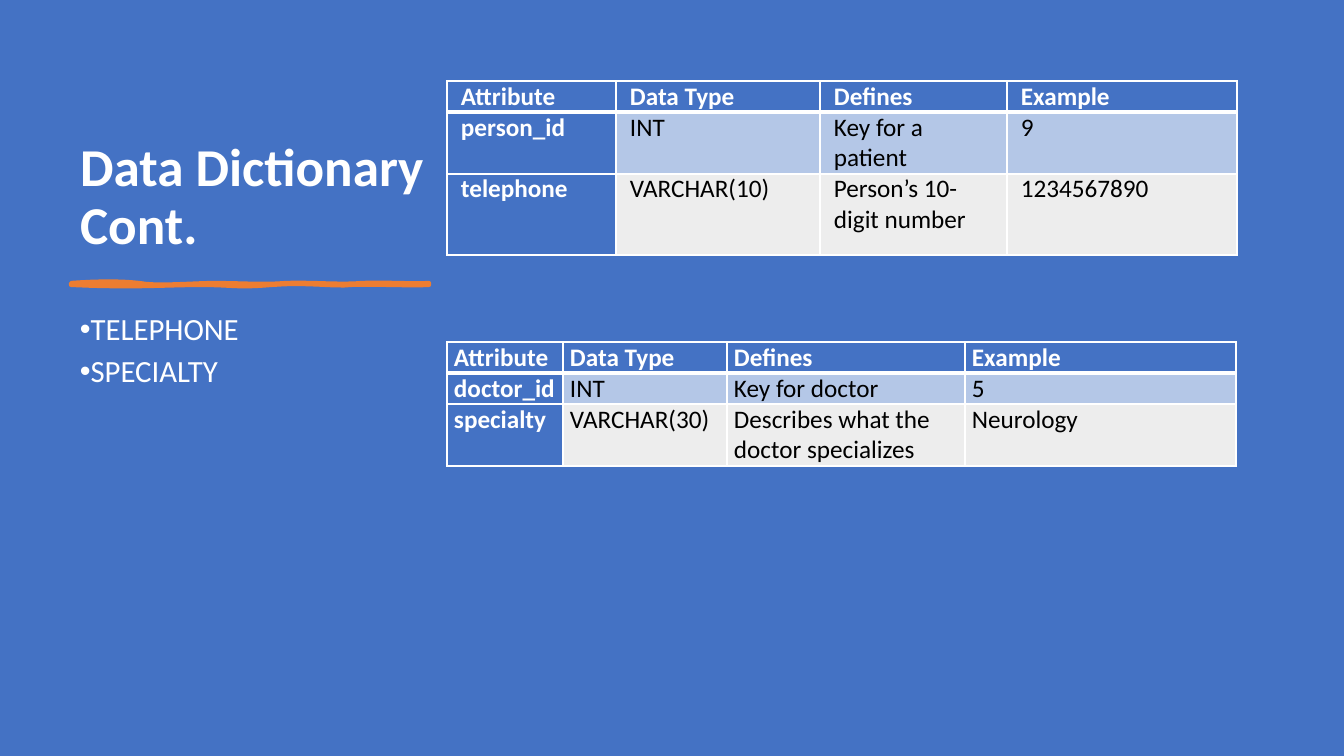
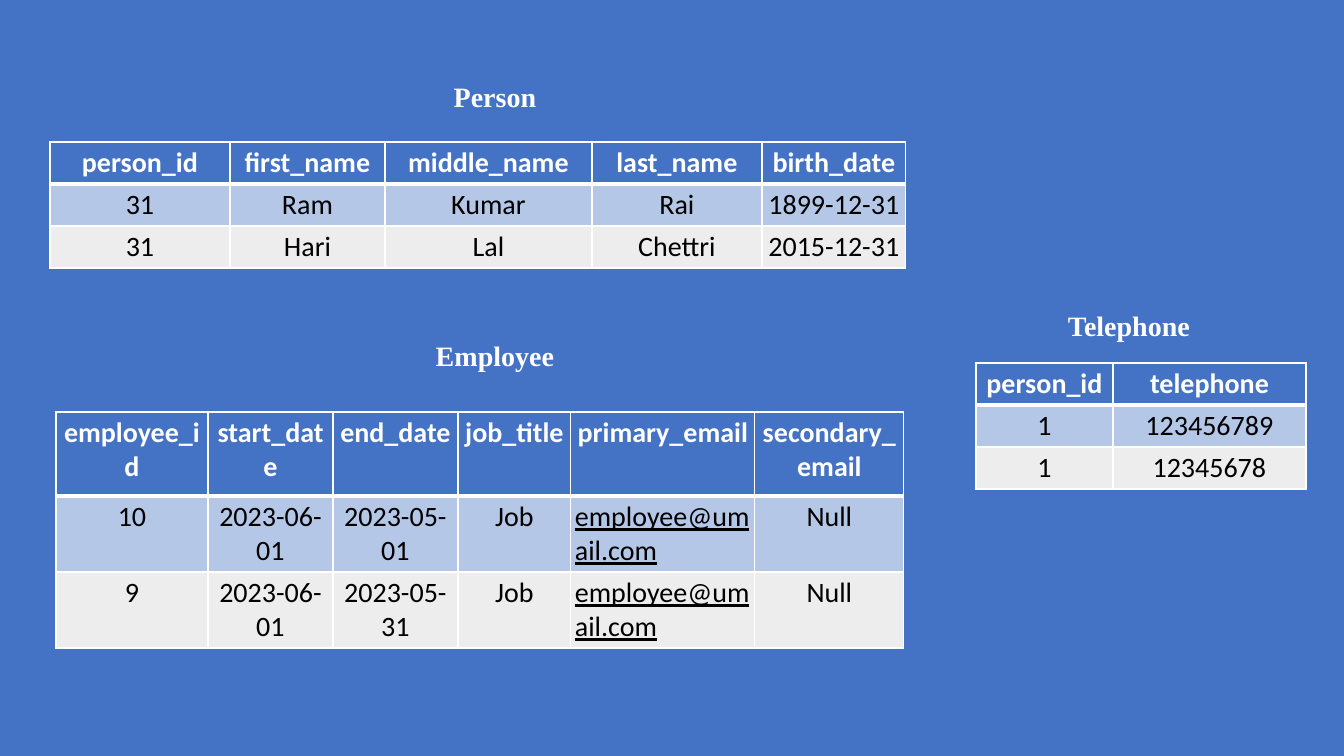
"""Build two data dictionary slides with tables on a blue background."""
from itertools import accumulate

from lxml.etree import SubElement
from pptx import Presentation
from pptx.dml.color import RGBColor
from pptx.enum.text import MSO_ANCHOR, PP_ALIGN
from pptx.oxml.ns import qn
from pptx.util import Emu, Pt

EMU_PER_PX = 914400 / 100.8
BLUE = RGBColor(0x44, 0x72, 0xC4)
PALE_BLUE = RGBColor(0xB4, 0xC7, 0xE7)
PALE_GRAY = RGBColor(0xED, 0xED, 0xED)
ORANGE = RGBColor(0xED, 0x7D, 0x31)
WHITE = RGBColor(0xFF, 0xFF, 0xFF)
BLACK = RGBColor(0, 0, 0)
BODY_FONT = "Calibri"
CAPTION_FONT = "Times New Roman"

TITLE = "Data Dictionary Cont."
TITLE_BOX = (70, 71, 378, 190)
BULLETS = ["TELEPHONE", "SPECIALTY"]
BULLET_BOX = (70, 309, 378, 376)

UNDERLINE_START = (71, 283)
UNDERLINE_TOP = [
    ((98, 281), (122, 281), (139, 283)),
    ((156, 286), (178, 284), (211, 283)),
    ((243, 283), (262, 285), (286, 283)),
    ((310, 282), (342, 285), (362, 283)),
    ((382, 282), (415, 284), (429, 283)),
]
UNDERLINE_END = (429, 285)
UNDERLINE_BOTTOM = [
    ((411, 286), (367, 284), (351, 285)),
    ((335, 287), (306, 282), (272, 285)),
    ((237, 288), (233, 285), (201, 285)),
    ((167, 285), (133, 288), (71, 285)),
]

DICTIONARY_HEADER = ["Attribute", "Data Type", "Defines", "Example"]
DICTIONARY_TABLES = [
    {
        "origin": (447, 81), "columns": [169, 204, 187, 230], "heights": [31, 62, 81],
        "margins": (14, 0),
        "rows": [
            DICTIONARY_HEADER,
            ["person_id", "INT", "Key for a patient", "9"],
            ["telephone", "VARCHAR(10)", "Person’s 10-digit number", "1234567890"],
        ],
    },
    {
        "origin": (447, 342), "columns": [116, 164, 238, 271], "heights": [31, 31, 62],
        "margins": (7, 0),
        "rows": [
            DICTIONARY_HEADER,
            ["doctor_id", "INT", "Key for doctor", "5"],
            ["specialty", "VARCHAR(30)", "Describes what the doctor specializes", "Neurology"],
        ],
    },
]
SAMPLE_TABLES = [
    {
        "caption": "Person", "caption_at": (344, 75),
        "origin": (50, 142), "columns": [180, 155, 207, 170, 144], "heights": [42, 42, 42],
        "rows": [
            ["person_id", "first_name", "middle_name", "last_name", "birth_date"],
            ["31", "Ram", "Kumar", "Rai", "1899-12-31"],
            ["31", "Hari", "Lal", "Chettri", "2015-12-31"],
        ],
    },
    {
        "caption": "Employee", "caption_at": (344, 334),
        "origin": (56, 412), "columns": [152, 125, 125, 113, 184, 149], "heights": [84, 76, 76],
        "rows": [
            ["employee_id", "start_date", "end_date", "job_title", "primary_email",
             "secondary_email"],
            ["10", "2023-06-01", "2023-05-01", "Job", "employee@umail.com", "Null"],
            ["9", "2023-06-01", "2023-05-31", "Job", "employee@umail.com", "Null"],
        ],
    },
    {
        "caption": "Telephone", "caption_at": (978, 304),
        "origin": (976, 363), "columns": [137, 193], "heights": [42, 42, 42],
        "rows": [
            ["person_id", "telephone"],
            ["1", "123456789"],
            ["1", "12345678"],
        ],
    },
]
CAPTION_SIZE = (302, 44)


def px(length):
    return Emu(round(length * EMU_PER_PX))


def write_text(paragraph, text, size=18, color=WHITE, bold=False, underline=False,
               font=BODY_FONT, align=PP_ALIGN.LEFT, line_spacing=None, space_after=None):
    run = paragraph.add_run()
    run.text = text
    run.font.name = font
    run.font.size = Pt(size)
    run.font.color.rgb = color
    run.font.bold = bold
    run.font.underline = underline
    paragraph.alignment = align
    if line_spacing is not None:
        paragraph.line_spacing = line_spacing
    if space_after is not None:
        paragraph.space_after = Pt(space_after)


def add_bullet(paragraph):
    properties = paragraph._p.get_or_add_pPr()
    properties.set("marL", "0")
    properties.set("indent", str(-px(25)))
    SubElement(properties, qn("a:buFont"), typeface="Arial")
    SubElement(properties, qn("a:buChar"), char="•")


def add_text_box(slide, box):
    frame = slide.shapes.add_textbox(*map(px, box)).text_frame
    frame.word_wrap = True
    return frame


def set_borders(cell, top, bottom):
    properties = cell._tc.get_or_add_tcPr()
    for side, width in (("L", 1), ("R", 1), ("T", top), ("B", bottom)):
        line = SubElement(properties, qn(f"a:ln{side}"), w=str(Pt(width)))
        fill = SubElement(line, qn("a:solidFill"))
        SubElement(fill, qn("a:srgbClr"), val=str(WHITE))


def add_table(slide, content, size, align, margins, header_column=False):
    rows, columns, heights = content["rows"], content["columns"], content["heights"]
    box = (*content["origin"], sum(columns), sum(heights))
    table = slide.shapes.add_table(len(rows), len(columns), *map(px, box)).table
    for column, width in zip(table.columns, columns):
        column.width = px(width)
    for row, height in zip(table.rows, heights):
        row.height = px(height)
    for row_index, row in enumerate(rows):
        for column_index, text in enumerate(row):
            cell = table.cell(row_index, column_index)
            is_header = row_index == 0 or (header_column and column_index == 0)
            is_email = "@" in text
            cell.margin_left = cell.margin_right = px(margins[0])
            cell.margin_top = cell.margin_bottom = px(margins[1])
            set_borders(cell, 3 if row_index == 1 else 1, 3 if row_index == 0 else 1)
            cell.fill.solid()
            cell.fill.fore_color.rgb = (
                BLUE if is_header else PALE_BLUE if row_index % 2 else PALE_GRAY)
            write_text(cell.text_frame.paragraphs[0], text, size=size, bold=is_header,
                       color=WHITE if is_header else BLACK, underline=is_email,
                       align=PP_ALIGN.LEFT if is_email else align)


def curve_points(start, curves, steps=8):
    starts = accumulate(curves, lambda _, curve: curve[-1], initial=start)
    for first, (second, third, last) in zip(starts, curves):
        for step in range(1, steps + 1):
            t = step / steps
            weights = ((1 - t) ** 3, 3 * t * (1 - t) ** 2, 3 * t * t * (1 - t), t ** 3)
            corners = (first, second, third, last)
            yield tuple(sum(weight * corner[axis] for weight, corner in zip(weights, corners))
                        for axis in (0, 1))


def add_underline(slide):
    points = [
        *curve_points(UNDERLINE_START, UNDERLINE_TOP),
        UNDERLINE_END,
        *curve_points(UNDERLINE_END, UNDERLINE_BOTTOM),
    ]
    builder = slide.shapes.build_freeform(*map(px, UNDERLINE_START))
    builder.add_line_segments([(px(x), px(y)) for x, y in points], close=True)
    underline = builder.convert_to_shape()
    underline.shadow.inherit = False
    underline.fill.solid()
    underline.fill.fore_color.rgb = ORANGE
    underline.line.color.rgb = ORANGE
    underline.line.width = Pt(3)
    SubElement(underline.line._get_or_add_ln(), qn("a:round"))


def build_dictionary_slide(presentation):
    slide = presentation.slides.add_slide(presentation.slide_layouts[5])
    title = slide.shapes.title
    title.left, title.top, title.width, title.height = map(px, TITLE_BOX)
    title.text_frame.word_wrap = True
    title.text_frame.vertical_anchor = MSO_ANCHOR.BOTTOM
    write_text(title.text_frame.paragraphs[0], TITLE, size=38, bold=True, line_spacing=0.9)
    add_underline(slide)
    frame = add_text_box(slide, BULLET_BOX)
    for index, text in enumerate(BULLETS):
        paragraph = frame.add_paragraph() if index else frame.paragraphs[0]
        add_bullet(paragraph)
        write_text(paragraph, text, size=22, line_spacing=0.9, space_after=6)
    for content in DICTIONARY_TABLES:
        add_table(slide, content, 18, PP_ALIGN.LEFT, content["margins"], header_column=True)


def build_sample_slide(presentation):
    slide = presentation.slides.add_slide(presentation.slide_layouts[6])
    for content in SAMPLE_TABLES:
        add_table(slide, content, 20, PP_ALIGN.CENTER, (4, 4))
        frame = add_text_box(slide, (*content["caption_at"], *CAPTION_SIZE))
        write_text(frame.paragraphs[0], content["caption"], size=20, bold=True,
                   font=CAPTION_FONT, align=PP_ALIGN.CENTER)


def main():
    presentation = Presentation()
    presentation.slide_width, presentation.slide_height = px(1344), px(756)
    background = presentation.slide_master.background.fill
    background.solid()
    background.fore_color.rgb = BLUE
    build_dictionary_slide(presentation)
    build_sample_slide(presentation)
    presentation.save("out.pptx")


if __name__ == "__main__":
    main()
